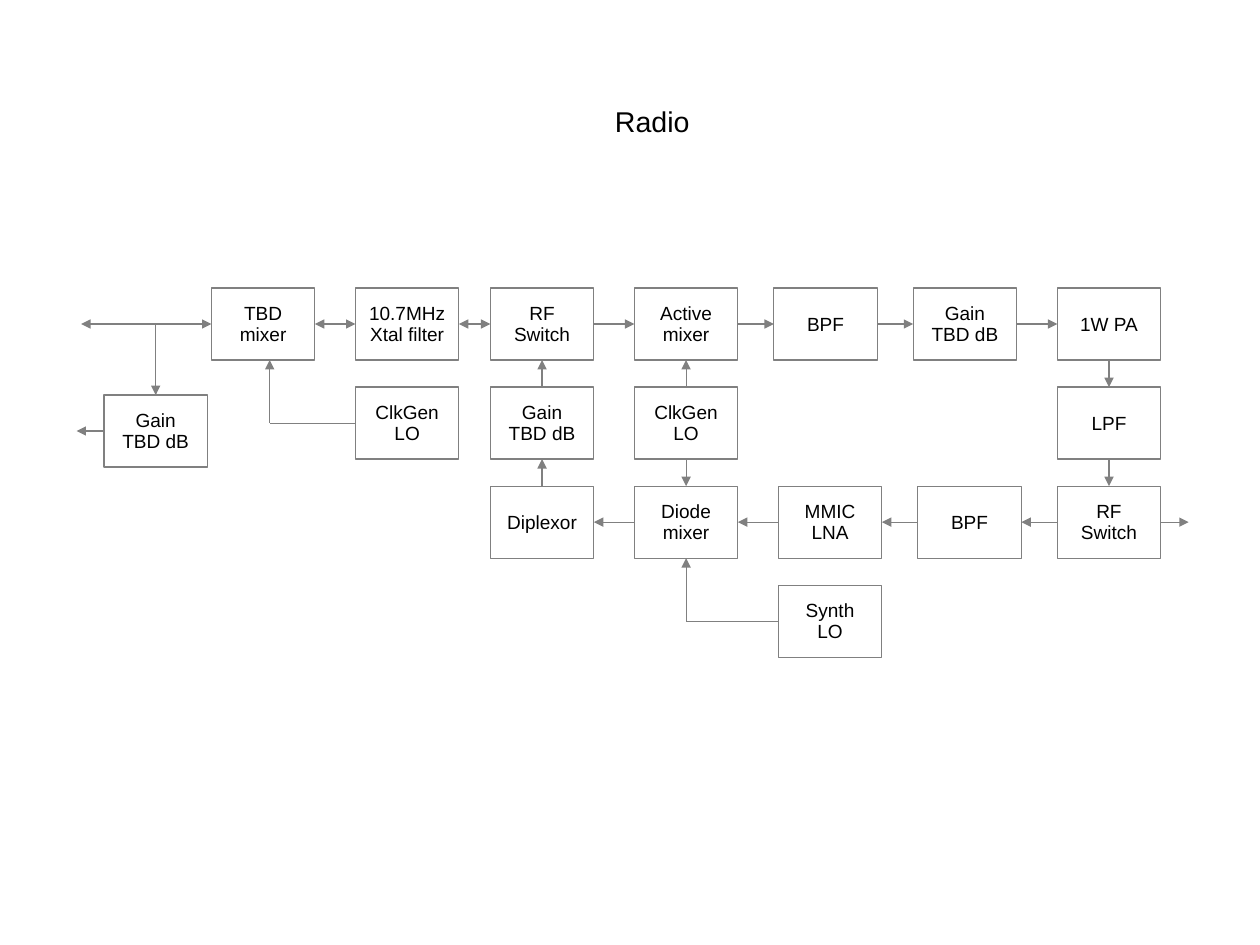
import dataclasses
import pptx
import pptx.dml.color
import pptx.enum.shapes
import pptx.enum.text
import pptx.oxml
import pptx.oxml.ns
import pptx.util

Inches = pptx.util.Inches
TOP, LEFT, BOTTOM, RIGHT = range(4)


@dataclasses.dataclass(frozen=True)
class Theme:
    font: str = "Arial"
    ink: str = "000000"
    paper: str = "FFFFFF"
    wire: str = "808080"
    title_size: int = 18
    label_size: int = 12
    wire_width: float = 0.75
    line_spacing: float = 0.93


@dataclasses.dataclass(frozen=True)
class Area:
    left: float
    top: float
    width: float
    height: float


THEME = Theme()
CM_PER_INCH = 2.54
PAGE_WIDTH, PAGE_HEIGHT = 28 / CM_PER_INCH, 21 / CM_PER_INCH
BLOCK_WIDTH, BLOCK_HEIGHT = 2.3 / CM_PER_INCH, 1.6 / CM_PER_INCH
ROW_COUNT = 4

BLOCKS = {
    "audio gain": (0.24, 1.08, "Gain\nTBD dB"),
    "audio mixer": (1.18, 0, "TBD\nmixer"),
    "filter": (2.44, 0, "10.7MHz\nXtal filter"),
    "IF switch": (3.62, 0, "RF\nSwitch"),
    "TX mixer": (4.88, 0, "Active\nmixer"),
    "TX BPF": (6.10, 0, "BPF"),
    "TX gain": (7.32, 0, "Gain\nTBD dB"),
    "PA": (8.58, 0, "1W PA"),
    "audio LO": (2.44, 1, "ClkGen\nLO"),
    "RX gain": (3.62, 1, "Gain\nTBD dB"),
    "shared LO": (4.88, 1, "ClkGen\nLO"),
    "LPF": (8.58, 1, "LPF"),
    "diplexor": (3.62, 2, "Diplexor"),
    "RX mixer": (4.88, 2, "Diode\nmixer"),
    "LNA": (6.14, 2, "MMIC\nLNA"),
    "RX BPF": (7.36, 2, "BPF"),
    "antenna switch": (8.58, 2, "RF\nSwitch"),
    "RX LO": (6.14, 3, "Synth\nLO"),
}

TWO_WAY_LINKS = ["audio mixer", "filter", "IF switch"]
TRANSMIT_LINKS = ["IF switch", "TX mixer", "TX BPF", "TX gain", "PA"]
RECEIVE_LINKS = ["antenna switch", "RX BPF", "LNA", "RX mixer", "diplexor"]
DOWN_LINKS = [("PA", "LPF"), ("LPF", "antenna switch"), ("shared LO", "RX mixer")]
UP_LINKS = [("diplexor", "RX gain"), ("RX gain", "IF switch"), ("shared LO", "TX mixer")]


def color(value):
    return pptx.dml.color.RGBColor.from_string(value)


def write_lines(frame, text, size, alignment):
    for index, line in enumerate(text.split("\n")):
        para = frame.paragraphs[0] if index == 0 else frame.add_paragraph()
        para.alignment = alignment
        para.line_spacing = THEME.line_spacing
        para.space_before = pptx.util.Pt(0)
        span = para.add_run()
        span.text = line
        span.font.name = THEME.font
        span.font.size = pptx.util.Pt(size)
        span.font.color.rgb = color(THEME.ink)


def add_title(page, area):
    title = page.shapes.title
    title.left, title.top = Inches(area.left), Inches(area.top)
    title.width, title.height = Inches(area.width), Inches(area.height)
    frame = title.text_frame
    frame.auto_size = pptx.enum.text.MSO_AUTO_SIZE.NONE
    frame.vertical_anchor = pptx.enum.text.MSO_ANCHOR.TOP
    frame.margin_left = frame.margin_right = Inches(0.1)
    frame.margin_top, frame.margin_bottom = Inches(0.07), Inches(0.05)
    write_lines(frame, "Radio", THEME.title_size, pptx.enum.text.PP_ALIGN.LEFT)


def add_block(page, left, top, text):
    block = page.shapes.add_shape(
        pptx.enum.shapes.MSO_SHAPE.RECTANGLE,
        Inches(left), Inches(top), Inches(BLOCK_WIDTH), Inches(BLOCK_HEIGHT))
    block.shadow.inherit = False
    block.fill.solid()
    block.fill.fore_color.rgb = color(THEME.paper)
    block.line.color.rgb = color(THEME.wire)
    block.line.width = pptx.util.Pt(THEME.wire_width)
    frame = block.text_frame
    frame.word_wrap = False
    frame.vertical_anchor = pptx.enum.text.MSO_ANCHOR.MIDDLE
    frame.margin_left = frame.margin_right = Inches(0.1)
    frame.margin_top, frame.margin_bottom = Inches(0.06), Inches(0.05)
    write_lines(frame, text, THEME.label_size, pptx.enum.text.PP_ALIGN.CENTER)
    return block


def middle(block, side):
    x = block.left + {LEFT: 0, RIGHT: block.width}.get(side, block.width // 2)
    y = block.top + {TOP: 0, BOTTOM: block.height}.get(side, block.height // 2)
    return x, y


def add_wire(page, start, end, arrows=("tailEnd",)):
    ends = [middle(*stop) if hasattr(stop[0], "shape_id") else stop for stop in (start, end)]
    wire = page.shapes.add_connector(
        pptx.enum.shapes.MSO_CONNECTOR.STRAIGHT, *ends[0], *ends[1])
    for stop, join in ((start, wire.begin_connect), (end, wire.end_connect)):
        if hasattr(stop[0], "shape_id"):
            join(*stop)
    wire.line.color.rgb = color(THEME.wire)
    wire.line.width = pptx.util.Pt(THEME.wire_width)
    properties = wire._element.spPr
    namespace = pptx.oxml.ns.nsdecls("a")
    line = properties.find(pptx.oxml.ns.qn("a:ln"))
    for arrow in arrows:
        line.append(pptx.oxml.parse_xml(f'<a:{arrow} {namespace} type="triangle"/>'))
    properties.append(pptx.oxml.parse_xml(f"<a:effectLst {namespace}/>"))


def add_diagram(page, area):
    row_step = (area.height - BLOCK_HEIGHT) / (ROW_COUNT - 1)
    blocks = {
        name: add_block(page, area.left + offset, area.top + row * row_step, text)
        for name, (offset, row, text) in BLOCKS.items()
    }
    both = ("headEnd", "tailEnd")
    for first, second in zip(TWO_WAY_LINKS, TWO_WAY_LINKS[1:]):
        add_wire(page, (blocks[first], RIGHT), (blocks[second], LEFT), both)
    for chain, out, into in ((TRANSMIT_LINKS, RIGHT, LEFT), (RECEIVE_LINKS, LEFT, RIGHT)):
        for first, second in zip(chain, chain[1:]):
            add_wire(page, (blocks[first], out), (blocks[second], into))
    for links, out, into in ((DOWN_LINKS, BOTTOM, TOP), (UP_LINKS, TOP, BOTTOM)):
        for first, second in links:
            add_wire(page, (blocks[first], out), (blocks[second], into))

    audio_gain, audio_mixer = blocks["audio gain"], blocks["audio mixer"]
    bus_y = middle(audio_mixer, LEFT)[1]
    add_wire(page, (Inches(area.left + 0.04), bus_y), (audio_mixer, LEFT), both)
    add_wire(page, (middle(audio_gain, TOP)[0], bus_y), (audio_gain, TOP))
    add_wire(page, (audio_gain, LEFT), (Inches(area.left), middle(audio_gain, LEFT)[1]))

    audio_bend = (Inches(area.left + 1.69), middle(blocks["audio LO"], LEFT)[1])
    add_wire(page, (blocks["audio LO"], LEFT), audio_bend, ())
    add_wire(page, audio_bend, (audio_bend[0], middle(audio_mixer, BOTTOM)[1]))

    receive_bend = (middle(blocks["RX mixer"], BOTTOM)[0], middle(blocks["RX LO"], LEFT)[1])
    add_wire(page, (blocks["RX LO"], LEFT), receive_bend, ())
    add_wire(page, receive_bend, (blocks["RX mixer"], BOTTOM))

    antenna = blocks["antenna switch"]
    add_wire(page, (antenna, RIGHT),
             (Inches(area.left + area.width), middle(antenna, RIGHT)[1]))


def main():
    deck = pptx.Presentation()
    deck.slide_width, deck.slide_height = Inches(PAGE_WIDTH), Inches(PAGE_HEIGHT)
    page = deck.slides.add_slide(deck.slide_layouts[5])
    page.background.fill.solid()
    page.background.fill.fore_color.rgb = color(THEME.paper)
    add_title(page, Area(5.28, 0.87, 1.02, 0.38))
    add_diagram(page, Area(0.67, 2.52, 9.73, 3.23))
    deck.save("out.pptx")


if __name__ == "__main__":
    main()
